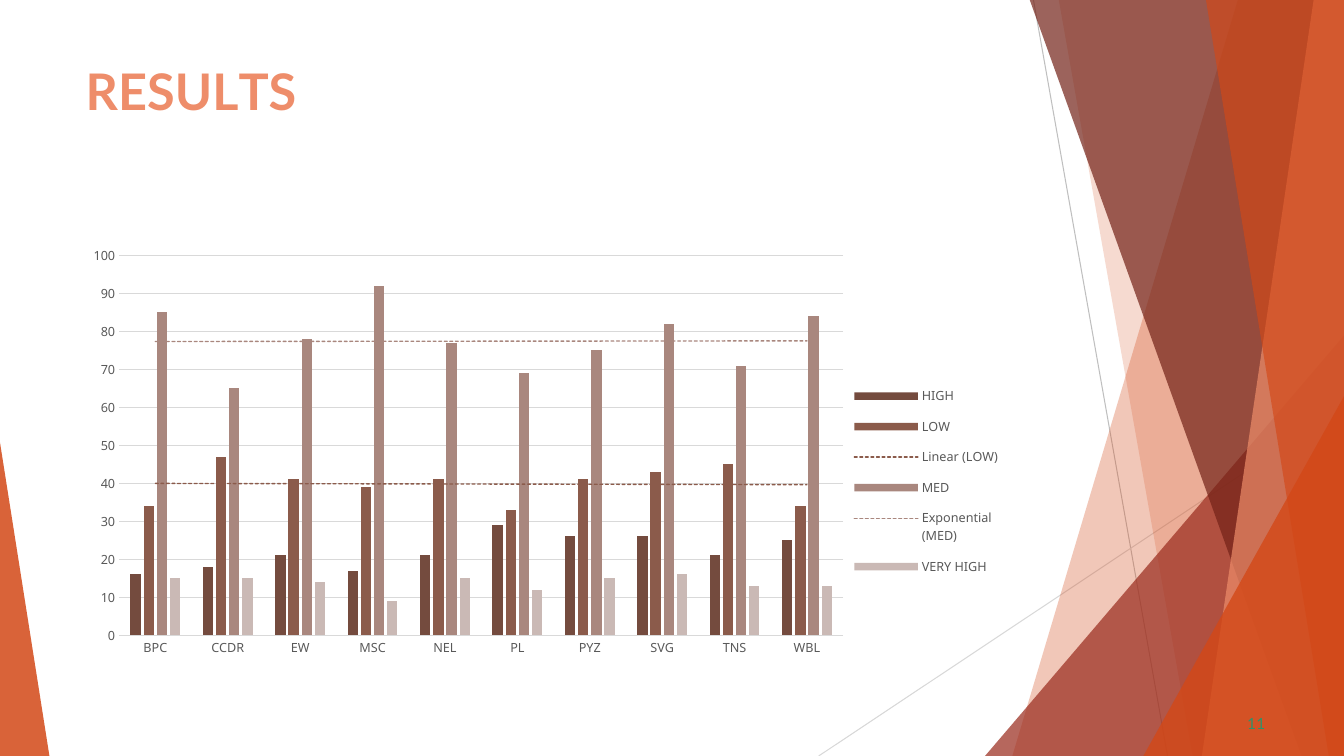
from lxml.etree import SubElement
from pptx import Presentation
from pptx.chart.data import CategoryChartData
from pptx.dml.color import RGBColor
from pptx.enum.chart import XL_CHART_TYPE, XL_LEGEND_POSITION, XL_TICK_MARK
from pptx.enum.shapes import MSO_CONNECTOR, MSO_SHAPE
from pptx.oxml import parse_xml
from pptx.oxml.ns import nsdecls, qn
from pptx.util import Inches, Pt

RUST, BRICK, MAROON, CORAL = "D34817", "9B2D1F", "732217", "EE8D6A"
GRID, LABEL = "D9D9D9", "595959"
TOP, RIGHT, BOTTOM = -0.01, 13.33, 7.5

SITES = ["BPC", "CCDR", "EW", "MSC", "NEL", "PL", "PYZ", "SVG", "TNS", "WBL"]
LEVELS = [
    ("HIGH", "744B3E", None, [16, 18, 21, 17, 21, 29, 26, 26, 21, 25]),
    ("LOW", "8B5B4B", "linear", [34, 47, 41, 39, 41, 33, 41, 43, 45, 34]),
    ("MED", "A9877E", "exp", [85, 65, 78, 92, 77, 69, 75, 82, 71, 84]),
    ("VERY HIGH", "CAB9B5", None, [15, 15, 14, 9, 15, 12, 15, 16, 13, 13]),
]


def color(value):
    """Turn a hex string into a colour."""
    return RGBColor.from_string(value)


def paint(shape, fill, opacity):
    """Give a shape a translucent fill without line or shadow."""
    shape.shadow.inherit = False
    shape.line.fill.background()
    shape.fill.solid()
    shape.fill.fore_color.rgb = color(fill)
    tint = shape.fill._xPr.find(qn("a:solidFill"))[0]
    SubElement(tint, qn("a:alpha"), val=str(opacity * 1000))


def add_band(slide, top_left, bottom_left, fill, opacity):
    """Add a slanted band that reaches the right edge of the slide."""
    corners = [(RIGHT, TOP), (RIGHT, BOTTOM), (bottom_left, BOTTOM)]
    outline = slide.shapes.build_freeform(Inches(top_left), Inches(TOP))
    outline.add_line_segments([(Inches(x), Inches(y)) for x, y in corners])
    paint(outline.convert_to_shape(), fill, opacity)


def add_corner(slide, box, apex, fill, opacity):
    """Add a triangle whose apex sits at a share of its width."""
    corner = slide.shapes.add_shape(
        MSO_SHAPE.ISOSCELES_TRIANGLE, *map(Inches, box))
    corner.adjustments[0] = apex
    paint(corner, fill, opacity)


def add_hairline(slide, ends, stroke):
    """Add a thin straight line."""
    hairline = slide.shapes.add_connector(
        MSO_CONNECTOR.STRAIGHT, *map(Inches, ends))
    hairline.line.color.rgb = color(stroke)
    hairline.line.width = Pt(0.75)
    SubElement(hairline._element.spPr, qn("a:effectLst"))


def add_text(slide, box, runs, size, fill, bold, indent, before):
    """Add a one-line text from runs of (text, letter spacing in points)."""
    frame = slide.shapes.add_textbox(*map(Inches, box)).text_frame
    frame.word_wrap = True
    frame.margin_left = frame.margin_right = frame.margin_bottom = 0
    frame.margin_top = Inches(0.01)
    paragraph = frame.paragraphs[0]
    paragraph.space_before = Pt(before)
    paragraph._p.get_or_add_pPr().set("marL", str(Inches(indent)))
    for text, spacing in runs:
        run = paragraph.add_run()
        run.text = text
        run.font.name = "Lato"
        run.font.size = Pt(size)
        run.font.bold = bold
        run.font.color.rgb = color(fill)
        run._r.get_or_add_rPr().set("spc", str(round(spacing * 100)))


def style_font(font, size, fill):
    """Set a chart font."""
    font.name = "Noto Sans"
    font.size = Pt(size)
    font.color.rgb = color(fill)


def style_axis(axis):
    """Remove tick marks and set the label font."""
    axis.major_tick_mark = axis.minor_tick_mark = XL_TICK_MARK.NONE
    style_font(axis.tick_labels.font, 9, LABEL)


def place(part, target, box):
    """Fix a chart part at a box given in shares of the chart."""
    old = part.find(qn("c:layout"))
    if old is not None:
        part.remove(old)
    inner = f'<c:layoutTarget val="{target}"/>' if target else ""
    modes = '<c:xMode val="edge"/><c:yMode val="edge"/>'
    sizes = "".join(f'<c:{key} val="{share}"/>' for key, share in zip("xywh", box))
    layout = parse_xml(
        f'<c:layout {nsdecls("c")}><c:manualLayout>{inner}{modes}{sizes}'
        '</c:manualLayout></c:layout>')
    if target:
        part.insert(0, layout)
    else:
        part.find(qn("c:legendPos")).addnext(layout)


def add_trend(series, kind, stroke):
    """Add a dashed trend line to a series."""
    trend = parse_xml(
        f'<c:trendline {nsdecls("c", "a")}><c:spPr><a:ln w="{Pt(1)}" cap="rnd">'
        f'<a:solidFill><a:srgbClr val="{stroke}"/></a:solidFill>'
        '<a:prstDash val="sysDash"/></a:ln></c:spPr>'
        f'<c:trendlineType val="{kind}"/><c:dispRSqr val="0"/>'
        '<c:dispEq val="0"/></c:trendline>')
    series._element.find(qn("c:cat")).addprevious(trend)


def add_results_chart(slide, box):
    """Add the clustered columns with their trend lines."""
    results = CategoryChartData()
    results.categories = SITES
    for name, _, _, values in LEVELS:
        results.add_series(name, values)
    chart = slide.shapes.add_chart(
        XL_CHART_TYPE.COLUMN_CLUSTERED, *map(Inches, box), results).chart
    style_font(chart.font, 10, "000000")
    chart.has_title = False
    chart.has_legend = True
    chart.legend.position = XL_LEGEND_POSITION.RIGHT
    chart.legend.include_in_layout = False
    style_font(chart.legend.font, 9, LABEL)
    plot_area = chart._chartSpace.chart.plotArea
    place(plot_area, "inner", (0.047, 0.041, 0.764, 0.889))
    place(chart.legend._element, None, (0.816, 0.32, 0.165, 0.5))

    sites, scores = chart.category_axis, chart.value_axis
    style_axis(sites)
    style_axis(scores)
    scores.minimum_scale, scores.maximum_scale, scores.major_unit = 0, 100, 10
    scores.format.line.fill.background()
    for line in (sites.format.line, scores.major_gridlines.format.line):
        line.color.rgb = color(GRID)
        line.width = Pt(0.75)

    plot = chart.plots[0]
    plot.gap_width, plot.overlap = 219, -27
    plot.vary_by_categories = False
    for series, (_, fill, trend, _) in zip(plot.series, LEVELS):
        series.format.fill.solid()
        series.format.fill.fore_color.rgb = color(fill)
        series.invert_if_negative = False
        if trend:
            add_trend(series, trend, fill)


def add_backdrop(slide):
    """Draw the overlapping facets along the slide edges."""
    add_hairline(slide, (10.25, 0, 11.58, BOTTOM), "BFBFBF")
    add_hairline(slide, (RIGHT, 4.03, 8.12, BOTTOM), "D8D8D8")
    add_band(slide, 12.28, 10.04, RUST, 30)
    add_band(slide, 10.5, 11.83, RUST, 20)
    add_corner(slide, (9.77, 3.33, 3.56, 4.17), 1, BRICK, 72)
    add_band(slide, 10.21, 12.91, MAROON, 70)
    add_band(slide, 13.03, 11.92, CORAL, 70)
    add_band(slide, 11.96, 13.18, RUST, 65)
    add_corner(slide, (11.34, 3.93, 1.99, 3.57), 1, RUST, 80)
    add_corner(slide, (0, 4.39, 0.49, 3.11), 0, RUST, 85)


def main():
    """Build and save the results slide."""
    deck = Presentation()
    deck.slide_width, deck.slide_height = Inches(RIGHT), Inches(BOTTOM)
    slide = deck.slides.add_slide(deck.slide_layouts[6])
    add_backdrop(slide)
    title = [("R", 0), ("E", -0.4), ("S", 0.1), ("U", -0.3), ("L", -4), ("TS", 0)]
    add_text(slide, (0.84, 0.59, 9.4, 0.62), title, 36, CORAL, True, 0.01, 1)
    add_text(slide, (12.33, 7.07, 0.25, 0.21), [("11", 0.1)], 11, "2D936B",
             False, 0.04, 0.6)
    add_results_chart(slide, (0.74, 2.36, 9.4, 4.24))
    deck.save("out.pptx")


if __name__ == "__main__":
    main()
